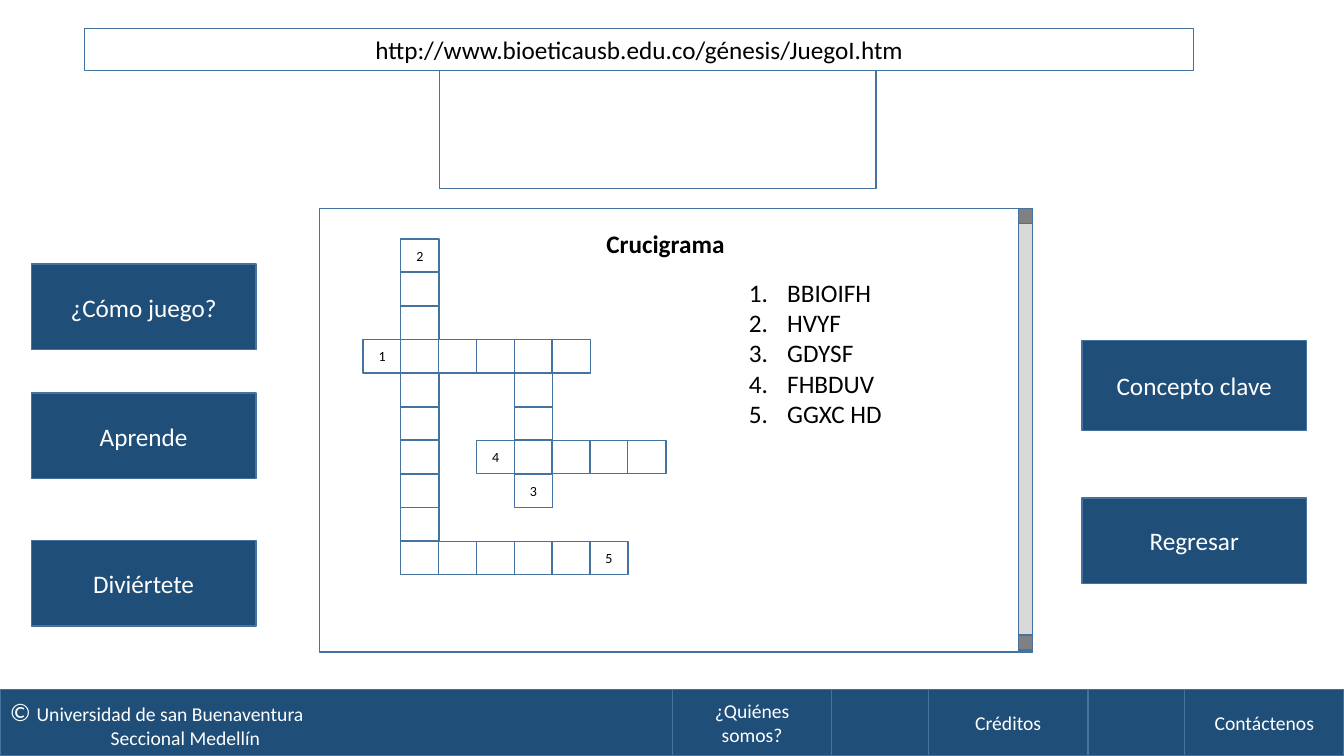
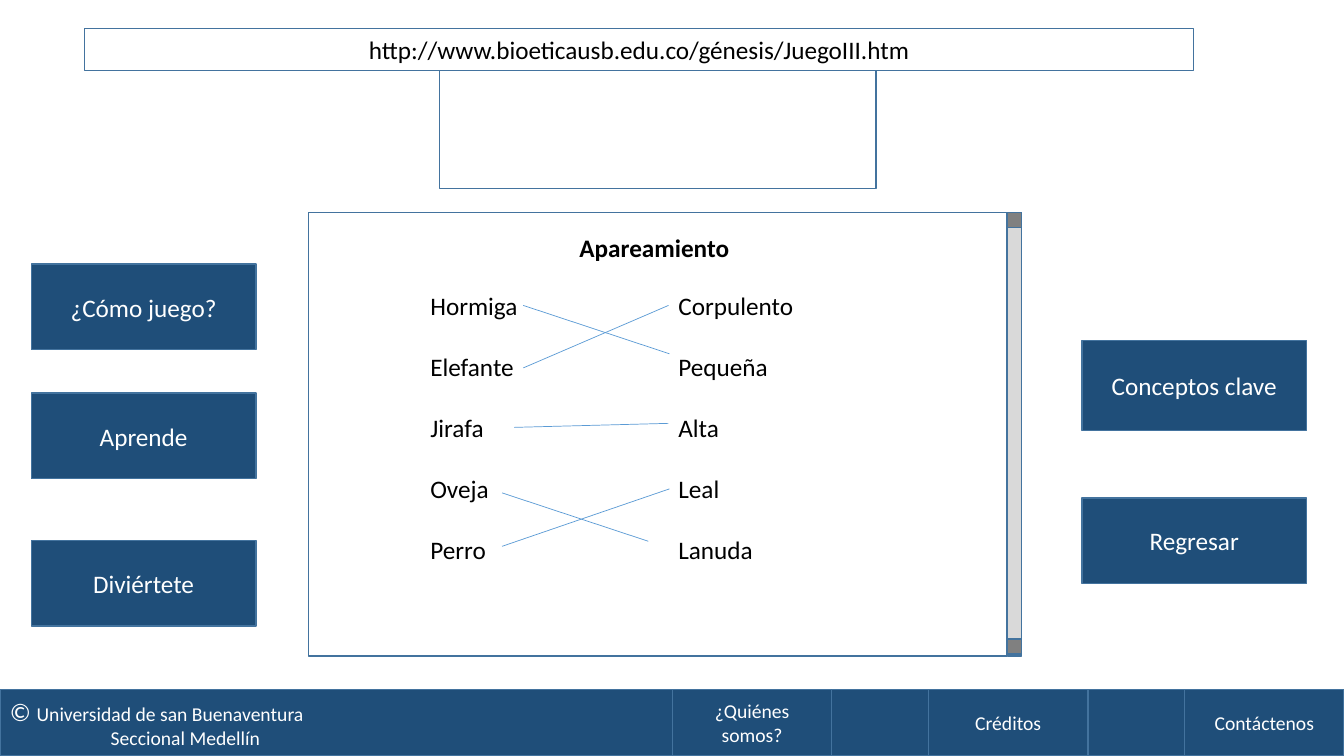
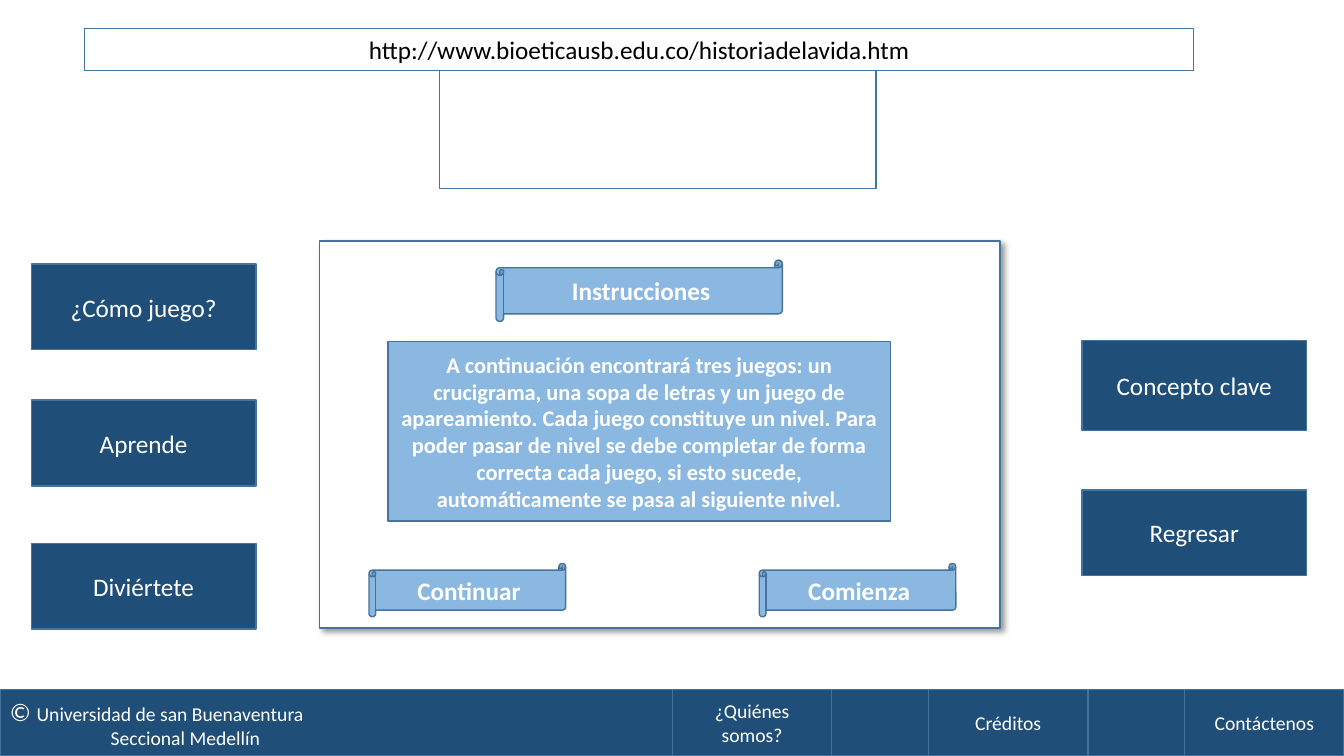
from typing import NamedTuple

from lxml import etree
from pptx import Presentation
from pptx.dml.color import RGBColor
from pptx.enum.shapes import MSO_CONNECTOR, MSO_SHAPE
from pptx.enum.text import MSO_ANCHOR, PP_ALIGN
from pptx.oxml.ns import qn
from pptx.util import Inches, Pt

RECT, SCROLL = MSO_SHAPE.RECTANGLE, MSO_SHAPE.HORIZONTAL_SCROLL
STRAIGHT = MSO_CONNECTOR.STRAIGHT
LEFT, CENTER = PP_ALIGN.LEFT, PP_ALIGN.CENTER
MIDDLE, TOP = MSO_ANCHOR.MIDDLE, MSO_ANCHOR.TOP

FONT = "Calibri"
NAVY, SKY, EDGE = "1F4E79", "5B9BD5", "43739E"
WHITE, BLACK, PALE, GRAY = "FFFFFF", "000000", "D9D9D9", "808080"
CELL_W, CELL_H = 0.38, 0.33
STEP_X, STEP_Y = 3 / 8, 1 / 3


class Area(NamedTuple):
    left: float
    top: float
    width: float
    height: float


class Look(NamedTuple):
    fill: str
    ink: str = WHITE
    size: int = 18
    bold: bool = False
    alpha: int = 100


class Button(NamedTuple):
    label: str
    area: Area


class Link(NamedTuple):
    x1: float
    y1: float
    x2: float
    y2: float


PAPER = Look(WHITE, BLACK)
SQUARE = Look(WHITE, BLACK, 10)
DARK = Look(NAVY)
FOOT = Look(NAVY, size=14)
GLASS = Look(SKY, bold=True, alpha=70)
NOTE = GLASS._replace(size=16)

GRID = (
    ".2",
    ".#",
    ".#",
    "1#####",
    ".#..#",
    ".#..#",
    ".#.4####",
    ".#..3",
    ".#",
    ".#####5",
)
CLUES = ["BBIOIFH", "HVYF", "GDYSF", "FHBDUV", "GGXC HD"]
BEASTS = ["Hormiga", "Elefante", "Jirafa", "Oveja", "Perro"]
TRAITS = ["Corpulento", "Pequeña", "Alta", "Leal", "Lanuda"]
LINKS = (
    Link(6.63, 3.03, 5.19, 3.65),
    Link(6.64, 3.51, 5.19, 3.03),
    Link(6.63, 4.2, 5.1, 4.24),
    Link(6.43, 5.37, 4.98, 4.89),
    Link(6.64, 4.85, 4.98, 5.42),
)
RULES = (
    "A continuación encontrará tres juegos: un crucigrama, una sopa de letras "
    "y un juego de apareamiento. Cada juego constituye un nivel. Para poder "
    "pasar de nivel se debe completar de forma correcta cada juego, si esto "
    "sucede, automáticamente se pasa al siguiente nivel."
)


def paint(color, code: str) -> None:
    color.rgb = RGBColor.from_string(code)


def style(font, look: Look) -> None:
    font.name, font.size, font.bold = FONT, Pt(look.size), look.bold
    paint(font.color, look.ink)


def place(area: Area) -> list:
    return [Inches(n) for n in area]


def box(shapes, area: Area, look: Look, text: str = "", kind=RECT):
    shape = shapes.add_shape(kind, *place(area))
    shape.shadow.inherit = False
    shape.fill.solid()
    paint(shape.fill.fore_color, look.fill)
    if look.alpha < 100:
        tint = shape._element.spPr.find(qn("a:solidFill"))[0]
        etree.SubElement(tint, qn("a:alpha"), val=str(look.alpha * 1000))
    paint(shape.line.color, EDGE)
    shape.line.width = Pt(1)
    if text:
        frame = shape.text_frame
        frame.word_wrap, frame.vertical_anchor = True, MIDDLE
        para = frame.paragraphs[0]
        para.text, para.alignment = text, CENTER
        style(para.font, look)
    return shape


def words(shapes, area: Area, lines: list[str], look: Look = PAPER,
          align=LEFT, gap: int = 0, count: bool = False) -> None:
    frame = shapes.add_textbox(*place(area)).text_frame
    frame.word_wrap, frame.vertical_anchor = True, TOP
    for i, line in enumerate(lines):
        para = frame.add_paragraph() if i else frame.paragraphs[0]
        para.text, para.alignment = line, align
        if i and gap:
            para.space_before = Pt(gap)
        if count:
            props = para._p.get_or_add_pPr()
            props.set("marL", str(Inches(0.38)))
            props.set("indent", str(Inches(-0.38)))
            etree.SubElement(props, qn("a:buFont"), typeface="+mj-lt")
            etree.SubElement(props, qn("a:buAutoNum"), type="arabicPeriod")
        style(para.font, look)


def footer(slide) -> None:
    shapes = slide.shapes.add_group_shape().shapes
    band = box(shapes, Area(0, 6.84, 13.33, 0.66), FOOT)
    frame = band.text_frame
    frame.word_wrap, frame.vertical_anchor = True, MIDDLE
    owner, place_line = frame.paragraphs[0], frame.add_paragraph()
    for para in (owner, place_line):
        para.alignment = LEFT
        style(para.font, FOOT)
    for text, look in (("© ", DARK), ("Universidad de san Buenaventura", FOOT)):
        run = owner.add_run()
        run.text = text
        style(run.font, look)
    place_line.text = "Seccional Medellín"
    place_line._p.get_or_add_pPr().set("marL", str(Inches(1)))
    for i, text in enumerate(("¿Quiénes somos?", "Créditos", "Contáctenos")):
        box(shapes, Area(6.67 + 2.54 * i, 6.84, 1.58, 0.66), FOOT, text)


def page(deck, url: str, idea: str = "Concepto clave", learn: float = 3.9,
         play: float = 5.36, back: float = 4.94):
    slide = deck.slides.add_slide(deck.slide_layouts[6])
    shapes = slide.shapes
    box(shapes, Area(0.84, 0.28, 11, 0.42), PAPER,
        f"http://www.bioeticausb.edu.co/{url}.htm")
    box(shapes, Area(4.36, 0.7, 4.33, 1.17), PAPER)
    for item in (
        Button("¿Cómo juego?", Area(0.31, 2.62, 2.23, 0.85)),
        Button("Aprende", Area(0.31, learn, 2.23, 0.85)),
        Button("Diviértete", Area(0.31, play, 2.23, 0.85)),
        Button(idea, Area(10.73, 3.38, 2.23, 0.89)),
        Button("Regresar", Area(10.73, back, 2.23, 0.85)),
    ):
        box(shapes, item.area, DARK, item.label)
    footer(slide)
    return shapes


def panel(shapes, left: float, top: float, title: str) -> None:
    box(shapes, Area(left, top, 6.93, 4.4), PAPER)
    bar = shapes.add_group_shape().shapes
    edge = left + 6.93
    box(bar, Area(edge, top, 0.14, 4.4), Look(PALE))
    for drop in (0, 4.23):
        box(bar, Area(edge, top + drop, 0.14, 0.15), Look(GRAY))
    words(shapes, Area(left + 2.43, top + 0.15, 2, 0.4), [title],
          PAPER._replace(bold=True), CENTER)


def join(shapes, link: Link) -> None:
    line = shapes.add_connector(STRAIGHT, *[Inches(n) for n in link])
    paint(line.line.color, SKY)
    line.line.width = Pt(0.5)
    etree.SubElement(line._element.spPr, qn("a:effectLst"))


def shade(shape) -> None:
    effects = shape._element.spPr.find(qn("a:effectLst"))
    cast = etree.SubElement(
        effects, qn("a:outerShdw"), blurRad=str(Pt(4)), dist=str(Pt(3)),
        dir=str(45 * 60000), algn="tl", rotWithShape="0")
    tint = etree.SubElement(cast, qn("a:srgbClr"), val=BLACK)
    etree.SubElement(tint, qn("a:alpha"), val="40000")


def puzzle(deck) -> None:
    shapes = page(deck, "génesis/JuegoI")
    panel(shapes, 3.17, 2.07, "Crucigrama")
    for row, line in enumerate(GRID):
        for col, mark in enumerate(line):
            if mark != ".":
                area = Area(3.6 + col * STEP_X, 2.37 + row * STEP_Y,
                            CELL_W, CELL_H)
                box(shapes, area, SQUARE, mark.strip("#"))
    words(shapes, Area(7.33, 2.7, 2.3, 1.62), CLUES, count=True)


def pairs(deck) -> None:
    shapes = page(deck, "génesis/JuegoIII", "Conceptos clave")
    panel(shapes, 3.06, 2.11, "Apareamiento")
    for left, names in ((4.17, BEASTS), (6.63, TRAITS)):
        words(shapes, Area(left, 2.83, 1.34, 2.83), names, gap=22)
    for link in LINKS:
        join(shapes, link)


def guide(deck) -> None:
    shapes = page(deck, "historiadelavida", learn=3.97, play=5.39, back=4.86)
    shade(box(shapes, Area(3.17, 2.39, 6.75, 3.84), PAPER))
    box(shapes, Area(3.85, 3.39, 4.98, 1.78), NOTE, RULES)
    for item in (
        Button("Instrucciones", Area(4.92, 2.58, 2.84, 0.61)),
        Button("Continuar", Area(3.66, 5.59, 1.95, 0.53)),
        Button("Comienza", Area(7.53, 5.59, 1.95, 0.53)),
    ):
        box(shapes, item.area, GLASS, item.label, SCROLL)


def main() -> None:
    deck = Presentation()
    deck.slide_width, deck.slide_height = Inches(13.33), Inches(7.5)
    for build in (puzzle, pairs, guide):
        build(deck)
    deck.save("out.pptx")


if __name__ == "__main__":
    main()
